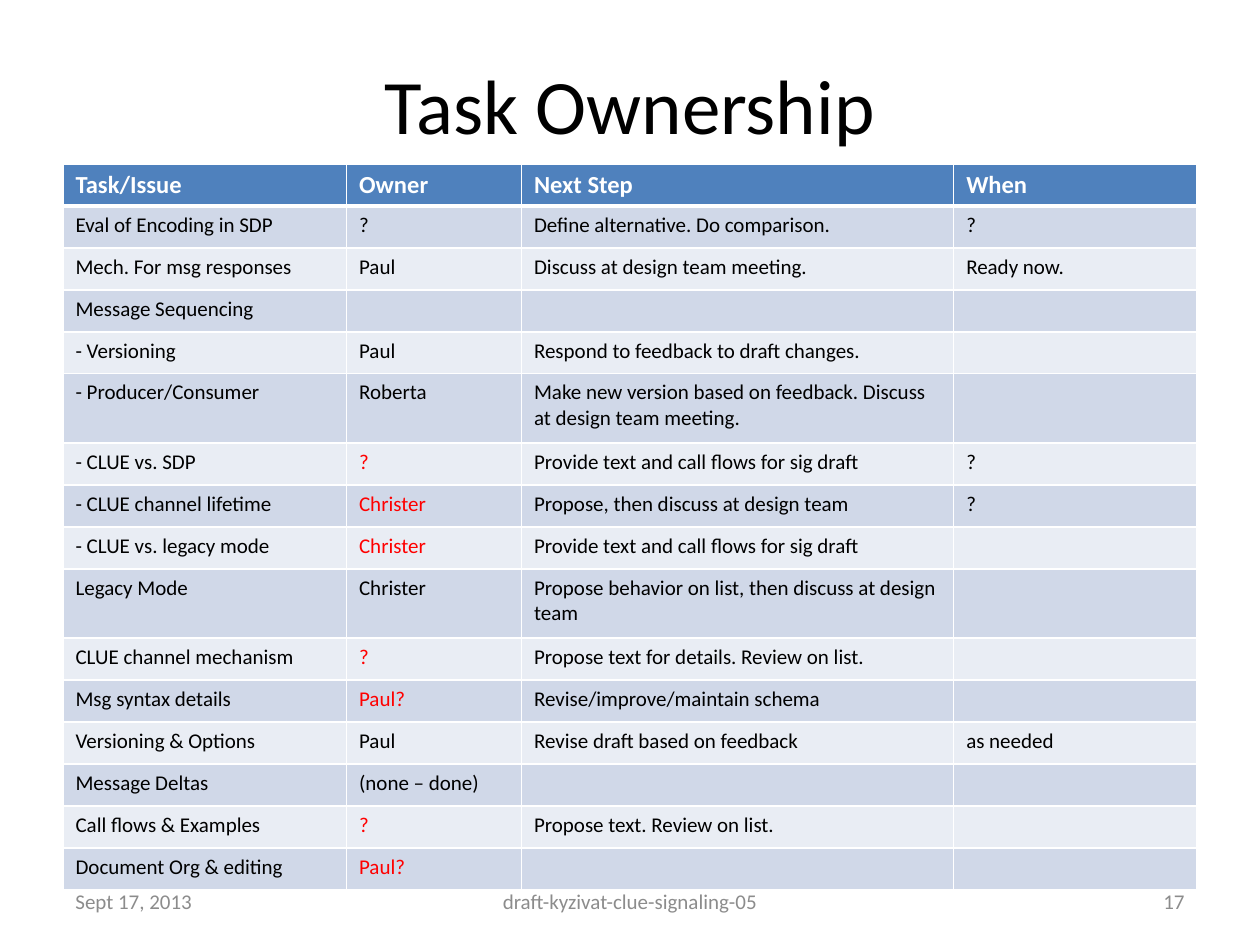
from lxml import etree
from pptx import Presentation
from pptx.dml.color import RGBColor
from pptx.enum import text
from pptx.oxml import ns
from pptx.util import Pt

FONT = "Calibri"
BLACK, WHITE, RED, GREY = "000000", "FFFFFF", "FF0000", "8C8C8C"
HEADER_FILL = "4F81BD"
BAND_FILLS = ("D0D8E8", "E9EDF4")
COLUMN_WIDTHS = (162, 100, 247, 139)
ROW_HEIGHT, TALL_ROW_HEIGHT = 24, 39.6
TALL_ROWS = (5, 9)
UNSETTLED_ROWS = (6, 7, 8, 10, 11, 14, 15)
OWNER_COLUMN = 1
TASKS = (
    ("Task/Issue", "Owner", "Next Step", "When"),
    ("Eval of Encoding in SDP ", "?", "Define alternative. Do comparison. ", "?"),
    ("Mech. For msg responses", "Paul", "Discuss at design team meeting.", "Ready now."),
    ("Message Sequencing", "", "", ""),
    ("- Versioning", "Paul", "Respond to feedback to draft changes.", ""),
    ("- Producer/Consumer", "Roberta",
     "Make new version based on feedback. Discuss at design team meeting.", ""),
    ("- CLUE vs. SDP", "?", "Provide text and call flows for sig draft", "?"),
    ("- CLUE channel lifetime", "Christer", "Propose, then discuss at design team", "?"),
    ("- CLUE vs. legacy mode", "Christer", "Provide text and call flows for sig draft", ""),
    ("Legacy Mode", "Christer", "Propose behavior on list, then discuss at design team", ""),
    ("CLUE channel mechanism", "?", "Propose text for details. Review on list.", ""),
    ("Msg syntax details", "Paul?", "Revise/improve/maintain schema", ""),
    ("Versioning & Options", "Paul", "Revise draft based on feedback", "as needed"),
    ("Message Deltas", "(none – done)", "", ""),
    ("Call flows & Examples", "?", "Propose text. Review on list.", ""),
    ("Document Org & editing", "Paul?", "", ""),
)


def rgb(value):
    """Turn a hex string into a colour."""
    return RGBColor.from_string(value)


def add_run(paragraph, words, size, color, bold=False):
    """Add one formatted run to a paragraph."""
    run = paragraph.add_run()
    run.text = words
    run.font.name = FONT
    run.font.size = Pt(size)
    run.font.bold = bold
    run.font.color.rgb = rgb(color)


def add_label(slide, words, box, size, color, align):
    """Add a vertically centred line of text; box is left, top, width, height."""
    frame = slide.shapes.add_textbox(*map(Pt, box)).text_frame
    frame.word_wrap = True
    frame.vertical_anchor = text.MSO_ANCHOR.MIDDLE
    frame.paragraphs[0].alignment = align
    add_run(frame.paragraphs[0], words, size, color)


def set_borders(cell, top, bottom):
    """Give a cell white borders; top and bottom are widths in points."""
    properties = cell._tc.get_or_add_tcPr()
    for side, width in (("L", 1), ("R", 1), ("T", top), ("B", bottom)):
        line = etree.SubElement(properties, ns.qn("a:ln" + side), w=str(Pt(width)))
        fill = etree.SubElement(line, ns.qn("a:solidFill"))
        etree.SubElement(fill, ns.qn("a:srgbClr"), val=WHITE)


def fill_cell(cell, words, row, column):
    """Write and style one cell according to its place in the table."""
    header = row == 0
    set_borders(cell, top=3 if row == 1 else 1, bottom=3 if header else 1)
    cell.fill.solid()
    cell.fill.fore_color.rgb = rgb(HEADER_FILL if header else BAND_FILLS[(row - 1) % 2])
    paragraph = cell.text_frame.paragraphs[0]
    if not words:
        etree.SubElement(paragraph._p, ns.qn("a:endParaRPr"), sz="1200")
        return
    unsettled = column == OWNER_COLUMN and row in UNSETTLED_ROWS
    color = WHITE if header else RED if unsettled else BLACK
    add_run(paragraph, words, 14 if header else 12, color, bold=header)


def add_task_table(slide):
    """Add the table of tasks, owners and next steps."""
    heights = [TALL_ROW_HEIGHT if row in TALL_ROWS else ROW_HEIGHT
               for row in range(len(TASKS))]
    tasks = slide.shapes.add_table(
        len(TASKS), len(COLUMN_WIDTHS), Pt(36), Pt(93.6),
        Pt(sum(COLUMN_WIDTHS)), Pt(sum(heights))).table
    for column, width in zip(tasks.columns, COLUMN_WIDTHS):
        column.width = Pt(width)
    for row, (entries, height) in enumerate(zip(TASKS, heights)):
        tasks.rows[row].height = Pt(height)
        for column, words in enumerate(entries):
            fill_cell(tasks.cell(row, column), words, row, column)


def main():
    """Build the slide and save it."""
    deck = Presentation()
    deck.slide_width, deck.slide_height = Pt(720), Pt(540)
    slide = deck.slides.add_slide(deck.slide_layouts[6])
    align = text.PP_ALIGN
    add_label(slide, "Task Ownership", (36, 21.6, 648, 75.6), 44, BLACK, align.CENTER)
    add_task_table(slide)
    for words, left, width, side in (
            ("Sept 17, 2013", 36, 168, align.LEFT),
            ("draft-kyzivat-clue-signaling-05", 246, 228, align.CENTER),
            ("17", 516, 168, align.RIGHT)):
        add_label(slide, words, (left, 500.5, width, 28.75), 12, GREY, side)
    deck.save("out.pptx")


main()
